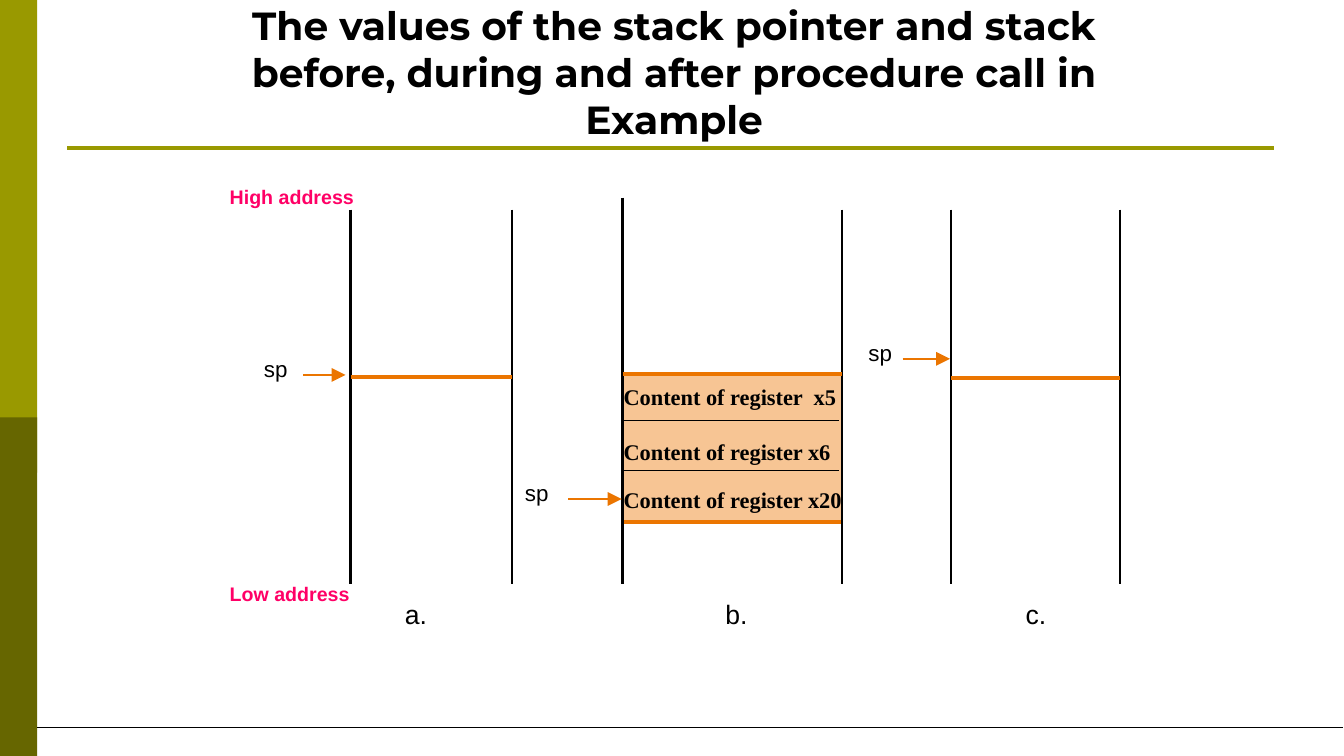
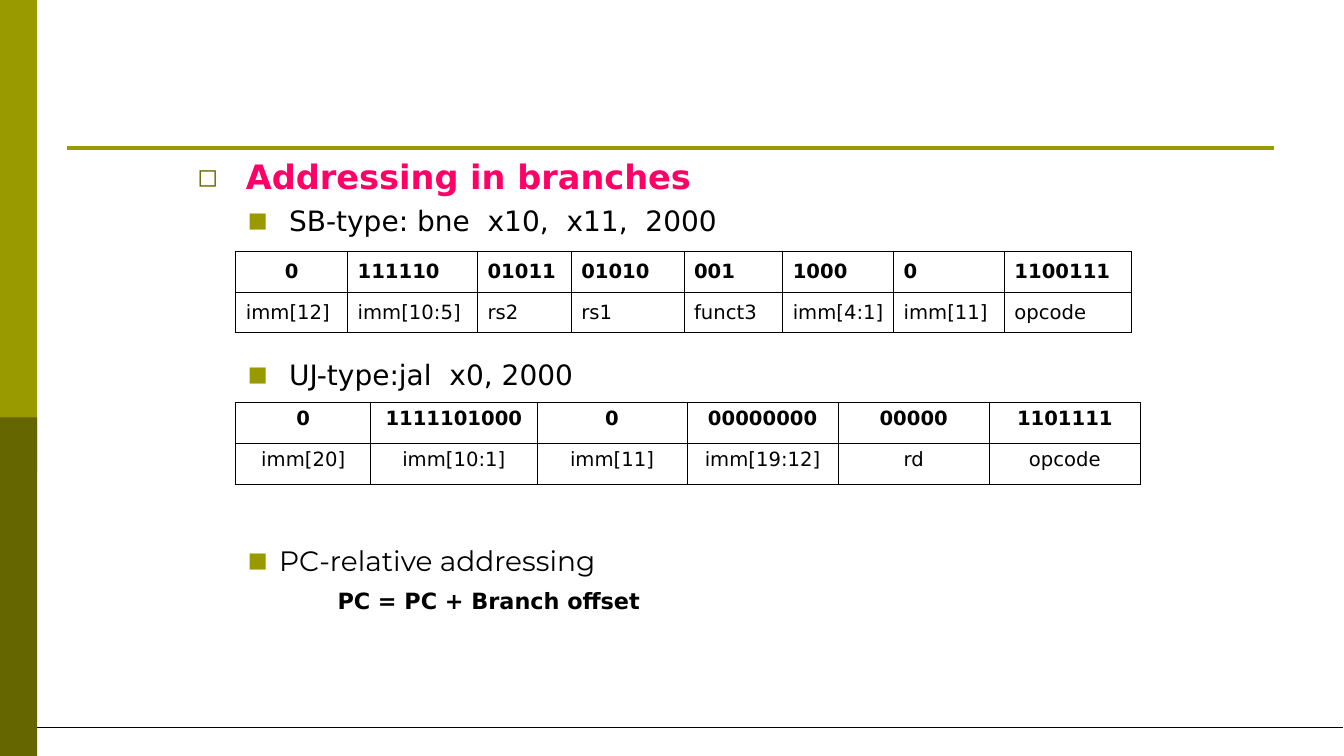
from lxml.etree import SubElement
from pptx import Presentation
from pptx.dml.color import RGBColor
from pptx.enum.shapes import MSO_CONNECTOR, MSO_SHAPE
from pptx.enum.text import MSO_ANCHOR, MSO_AUTO_SIZE, PP_ALIGN
from pptx.oxml.ns import qn
from pptx.util import Inches, Pt

COLORS = {
    "olive": "999900", "dark_olive": "666600", "black": "000000", "white": "FFFFFF",
    "pink": "FF0066", "orange": "EB7500", "peach": "F7C594",
}
SANS, TITLE_FONT = "DejaVu Sans", "Montserrat"


def color(name):
    """Return the named colour."""
    return RGBColor.from_string(COLORS[name])


def style(p, size, font="Arial", ink="black", bold=False):
    """Format every run of a paragraph."""
    for r in p.runs:
        r.font.size, r.font.name, r.font.bold = Pt(size), font, bold
        r.font.color.rgb = color(ink)


def rect(slide, x, y, w, h, fill):
    """Add a plain filled rectangle."""
    sp = slide.shapes.add_shape(MSO_SHAPE.RECTANGLE, Inches(x), Inches(y), Inches(w), Inches(h))
    sp.shadow.inherit = False
    sp.fill.solid()
    sp.fill.fore_color.rgb = color(fill)
    sp.line.fill.background()


def line(slide, x1, y1, x2, y2, ink="black", width=1.62, arrow=False):
    """Add a straight line, with an arrowhead at its end if asked."""
    cxn = slide.shapes.add_connector(
        MSO_CONNECTOR.STRAIGHT, Inches(x1), Inches(y1), Inches(x2), Inches(y2))
    cxn.line.color.rgb = color(ink)
    cxn.line.width = Pt(width)
    if arrow:
        SubElement(cxn.line._get_or_add_ln(), qn("a:tailEnd"), type="triangle", w="lg", len="lg")
    SubElement(cxn._element.spPr, qn("a:effectLst"))


def label(slide, text, x, y, w, size, **look):
    """Add a one-line text box without margins."""
    sp = slide.shapes.add_textbox(Inches(x), Inches(y), Inches(w), Inches(size / 60))
    tf = sp.text_frame
    tf.word_wrap = True
    tf.margin_left = tf.margin_right = tf.margin_top = tf.margin_bottom = 0
    tf.text = text
    style(tf.paragraphs[0], size, **look)


def frame(slide):
    """Draw the side band and the two rules every slide has."""
    rect(slide, 0, 0, 0.37, 4.69, "olive")
    rect(slide, 0, 4.14, 0.37, 3.36, "dark_olive")
    line(slide, 0.67, 1.47, 12.65, 1.47, "olive", 3)
    line(slide, 0.37, 7.22, 13.33, 7.22, width=0.75)


def place(sp, x, y, w, h):
    """Move a placeholder and keep its text at full size."""
    sp.left, sp.top, sp.width, sp.height = Inches(x), Inches(y), Inches(w), Inches(h)
    sp.text_frame.auto_size = MSO_AUTO_SIZE.NONE
    sp.text_frame.word_wrap = True


def set_title(slide, text):
    """Fill the title above the rule."""
    sp = slide.shapes.title
    place(sp, 2.02, 0, 9.34, 1.46)
    tf = sp.text_frame
    tf.vertical_anchor = MSO_ANCHOR.BOTTOM
    tf.text = text
    tf.paragraphs[0].alignment = PP_ALIGN.CENTER
    style(tf.paragraphs[0], 28, TITLE_FONT, bold=True)


def stack(slide, name, x, w, name_x, level, top=2.08):
    """Draw the walls, level line and name of one stack."""
    line(slide, x, top, x, 5.79)
    line(slide, x + w, 2.08, x + w, 5.79)
    line(slide, x, level, x + w, level, "orange", 3.25)
    label(slide, name, name_x, 5.93, 0.4, 19)


def registers(slide, x, y, w, h):
    """Draw the saved registers inside a stack."""
    rect(slide, x, y, w, h, "peach")
    for dy in (0.46, 0.96):
        line(slide, x, y + dy, x + w - 0.03, y + dy, width=0.88)
    rows = (("Content of register  x5", 0.09), ("Content of register x6", 0.64),
            ("Content of register x20", 1.11))
    for text, dy in rows:
        label(slide, text, x + 0.01, y + dy, w + 0.25, 16, font="Times New Roman", bold=True)
    line(slide, x, y + h, x + w, y + h, "orange", 3.25)


def pointer(slide, x, start, tip, y):
    """Draw the stack pointer label and its arrow."""
    label(slide, "sp", x, y - 0.2, 0.35, 16)
    line(slide, start, y, tip, y, "orange", arrow=True)


def bullet(p, char, ink, left, hang):
    """Give a paragraph its indent and bullet, or none when char is empty."""
    pPr = p._p.get_or_add_pPr()
    pPr.set("marL", str(Inches(left)))
    pPr.set("indent", str(-Inches(hang)))
    if not char:
        SubElement(pPr, qn("a:buNone"))
        return
    SubElement(SubElement(pPr, qn("a:buClr")), qn("a:srgbClr"), val=COLORS[ink])
    SubElement(pPr, qn("a:buSzPct"), val="75000")
    SubElement(pPr, qn("a:buFont"), typeface=SANS)
    SubElement(pPr, qn("a:buChar"), char=char)


def outline(slide):
    """Fill the body with the addressing outline, leaving room for tables."""
    sp = slide.placeholders[1]
    place(sp, 1.86, 1.5, 9.53, 5.48)
    tf = sp.text_frame
    head, square = ("◻", "dark_olive", 0.48, 0.48), ("■", "olive", 0.91, 0.41)
    items = (
        ("Addressing in branches", 0, 0, head, (24, SANS, "pink", True)),
        ("SB-type: bne  x10,  x11,  2000", 1, 5, square, (20, SANS)),
        ("UJ-type:jal  x0, 2000", 1, 86, square, (20, SANS)),
        ("PC-relative addressing", 1, 109, ("■", "olive", 0.81, 0.31), (20, TITLE_FONT)),
        ("PC = PC + Branch offset", 2, 7, ("", "", 1.39, 0), (16, SANS, "black", True)),
    )
    for i, (text, level, before, mark, look) in enumerate(items):
        p = tf.paragraphs[0] if i == 0 else tf.add_paragraph()
        p.text = text
        p.level = level
        bullet(p, *mark)
        p.space_before = Pt(before)
        style(p, *look)


def format_table(slide, x, y, widths, rows, anchor, centred):
    """Add an instruction format: bits in bold above field names."""
    tbl = slide.shapes.add_table(
        2, len(widths), Inches(x), Inches(y), Inches(sum(widths)), Inches(0.81)).table
    tbl.first_row = tbl.horz_banding = False
    for col, w in zip(tbl.columns, widths):
        col.width = Inches(w)
    for r, texts in enumerate(rows):
        tbl.rows[r].height = Inches(0.41 - 0.01 * r)
        for c, text in enumerate(texts):
            cell = tbl.cell(r, c)
            cell.text = text
            cell.vertical_anchor = anchor
            p = cell.text_frame.paragraphs[0]
            p.alignment = PP_ALIGN.CENTER if centred or r == c == 0 else PP_ALIGN.LEFT
            style(p, 14, SANS, bold=r == 0)
            tcPr = cell._tc.get_or_add_tcPr()
            for side in ("lnL", "lnR", "lnT", "lnB"):
                ln = SubElement(tcPr, qn(f"a:{side}"), w=str(Pt(0.45)))
                fill = SubElement(ln, qn("a:solidFill"))
                SubElement(fill, qn("a:srgbClr"), val=COLORS["black"])
            cell.fill.solid()
            cell.fill.fore_color.rgb = color("white")


def stack_slide(prs):
    """Build the slide with the three stack states."""
    s = prs.slides.add_slide(prs.slide_layouts[5])
    frame(s)
    set_title(s, "The values of the stack pointer and stack before, during "
                 "and after procedure call in Example")
    registers(s, 6.18, 3.71, 2.18, 1.47)
    stack(s, "a.", 3.48, 1.6, 4.02, 3.74)
    stack(s, "b.", 6.18, 2.18, 7.2, 3.71, top=1.96)
    stack(s, "c.", 9.44, 1.68, 10.18, 3.75)
    pointer(s, 2.62, 3.01, 3.43, 3.72)
    pointer(s, 5.21, 5.64, 6.17, 4.95)
    pointer(s, 8.62, 8.96, 9.43, 3.56)
    for text, y in (("High address", 1.83), ("Low address", 5.77)):
        label(s, text, 2.28, y, 1.4, 14, ink="pink", bold=True)


def addressing_slide(prs):
    """Build the slide on addressing in branches."""
    s = prs.slides.add_slide(prs.slide_layouts[1])
    title = s.shapes.title._element
    title.getparent().remove(title)
    frame(s)
    outline(s)
    format_table(
        s, 2.34, 2.49, (1.11, 1.29, 0.93, 1.12, 0.98, 1.1, 1.1, 1.26),
        (("0", "111110", "01011", "01010", "001", "1000", "0", "1100111"),
         ("imm[12]", "imm[10:5]", "rs2", "rs1", "funct3", "imm[4:1]", "imm[11]", "opcode")),
        MSO_ANCHOR.MIDDLE, False)
    format_table(
        s, 2.34, 3.99, (1.34, 1.65, 1.49, 1.5, 1.5, 1.5),
        (("0", "1111101000", "0", "00000000", "00000", "1101111"),
         ("imm[20]", "imm[10:1]", "imm[11]", "imm[19:12]", "rd", "opcode")),
        MSO_ANCHOR.TOP, True)


def main():
    """Build and save the presentation."""
    prs = Presentation()
    prs.slide_width, prs.slide_height = Inches(13.34), Inches(7.5)
    stack_slide(prs)
    addressing_slide(prs)
    prs.save("out.pptx")


if __name__ == "__main__":
    main()
